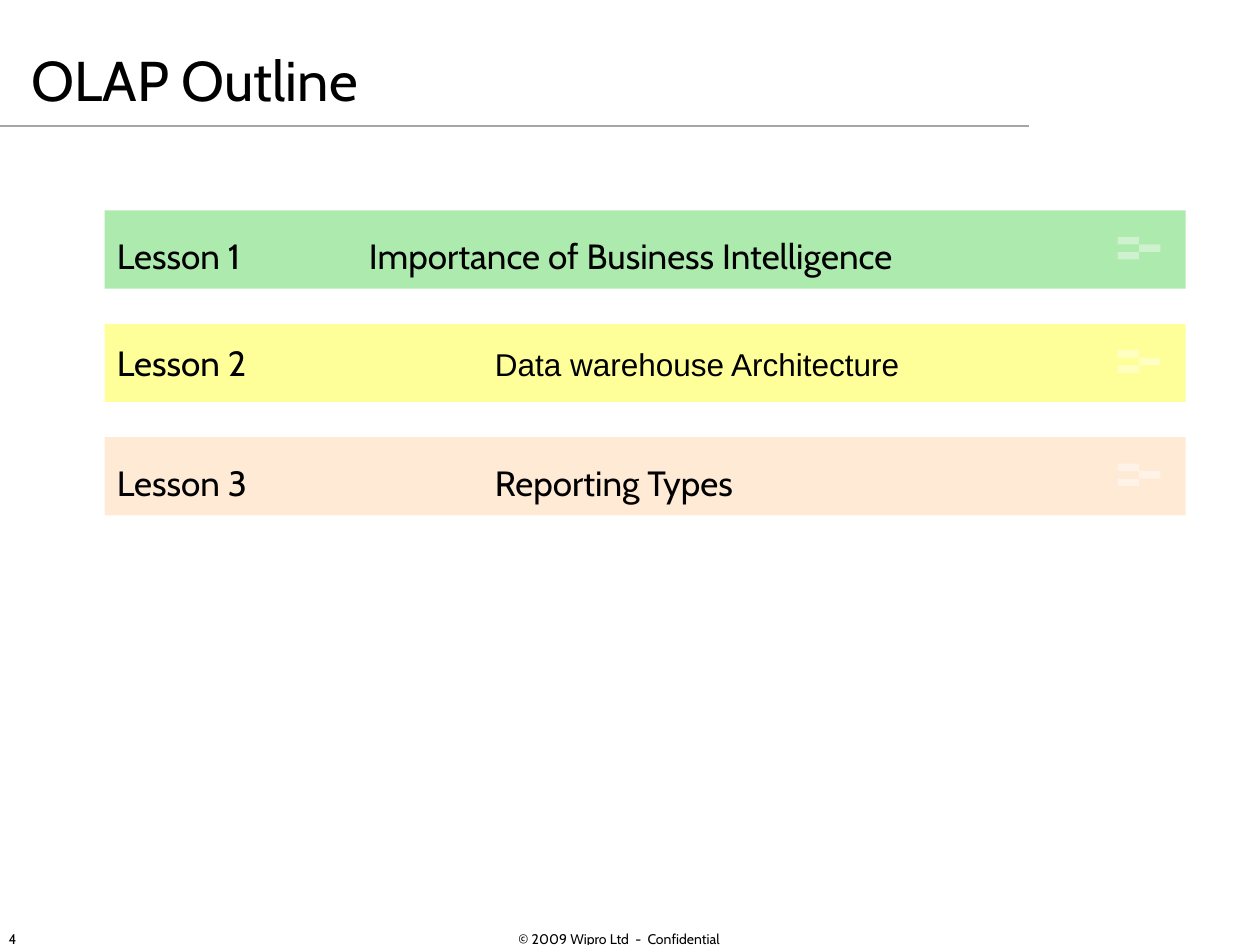
"""Build the OLAP outline slide with three lesson bands."""
from dataclasses import dataclass

from lxml.etree import SubElement
from pptx import Presentation
from pptx.dml.color import RGBColor as RGB
from pptx.enum.shapes import MSO_CONNECTOR as Line, MSO_SHAPE as Shape
from pptx.enum.text import MSO_ANCHOR as Anchor, PP_ALIGN as Align
from pptx.oxml.ns import qn
from pptx.util import Inches, Pt


@dataclass(frozen=True)
class Theme:
    ink: str = "000000"
    rule: str = "A6A6A6"
    mark: str = "FFFFFF"
    face: str = "Cabin"
    title: int = 32
    lesson: int = 20
    footer: int = 8
    opacity: int = 40


def write(run, size, face=Theme.face):
    run.font.size = Pt(size)
    run.font.name = face
    run.font.color.rgb = RGB.from_string(Theme.ink)


def add_block(left, top, width, height, color):
    block = slide.shapes.add_shape(
        Shape.RECTANGLE, Inches(left), Inches(top), Inches(width), Inches(height))
    block.shadow.inherit = False
    block.line.fill.background()
    block.fill.solid()
    block.fill.fore_color.rgb = RGB.from_string(color)
    tint = block.fill._xPr.find(qn("a:solidFill"))[0]
    SubElement(tint, qn("a:alpha"), val=str(Theme.opacity * 1000))
    return block


deck = Presentation()
deck.slide_width, deck.slide_height = Inches(10), Inches(7.5)
slide = deck.slides.add_slide(deck.slide_layouts[5])

rule = slide.shapes.add_connector(Line.STRAIGHT, 0, Inches(1), Inches(8.17), Inches(1))
rule.line.color.rgb = RGB.from_string(Theme.rule)
rule.line.width = Pt(0.75)
SubElement(rule._element.spPr, qn("a:effectLst"))

for left, width, wording, align in (
    (2.75, 4.33, "© 2009 Wipro Ltd  -  Confidential", Align.CENTER),
    (-0.03, 2.33, "4", Align.LEFT),
):
    footer = slide.shapes.add_textbox(
        Inches(left), Inches(7.25), Inches(width), Inches(0.4)).text_frame
    footer.word_wrap = True
    footer.vertical_anchor = Anchor.MIDDLE
    footer.text = wording
    footer.paragraphs[0].alignment = align
    write(footer.paragraphs[0].runs[0], Theme.footer)

title = slide.shapes.title
title.left, title.top = Inches(0.15), Inches(0.17)
title.width, title.height = Inches(8.1), Inches(0.92)
title.text_frame.text = "OLAP Outline"
title.text_frame.vertical_anchor = Anchor.MIDDLE
title.text_frame.paragraphs[0].alignment = Align.LEFT
write(title.text_frame.paragraphs[0].runs[0], Theme.title)

lessons = (
    ("Importance of Business Intelligence", "33CC33", Theme.face, Theme.lesson, 0.15),
    ("Data warehouse Architecture", "FFFF00", "Arial", 18, 0.05),
    ("Reporting Types", "FFCC99", Theme.face, Theme.lesson, 0.15),
)
first_top, pitch = 1.67, 0.9
mark_width, mark_height = 0.17, 0.06

for row, (topic, color, face, size, inset) in enumerate(lessons):
    top = first_top + row * pitch
    band = add_block(0.83, top, 8.58, 0.62, color)
    frame = band.text_frame
    frame.vertical_anchor = Anchor.MIDDLE
    frame.margin_top = Inches(inset)
    entry = frame.paragraphs[0]
    entry.text = f"Lesson {row + 1}\t\t"
    entry.add_run().text = topic
    entry.alignment = Align.LEFT
    stops = SubElement(entry._p.get_or_add_pPr(), qn("a:tabLst"))
    for stop in (1, 2, 3):
        SubElement(stops, qn("a:tab"), pos=str(Inches(stop)), algn="l")
    label, subject = entry.runs
    write(label, Theme.lesson)
    write(subject, size, face)
    for step, column in enumerate((0, 1, 0)):
        add_block(8.87 + column * mark_width, top + 0.21 + step * mark_height,
                  mark_width, mark_height, Theme.mark)

deck.save("out.pptx")
